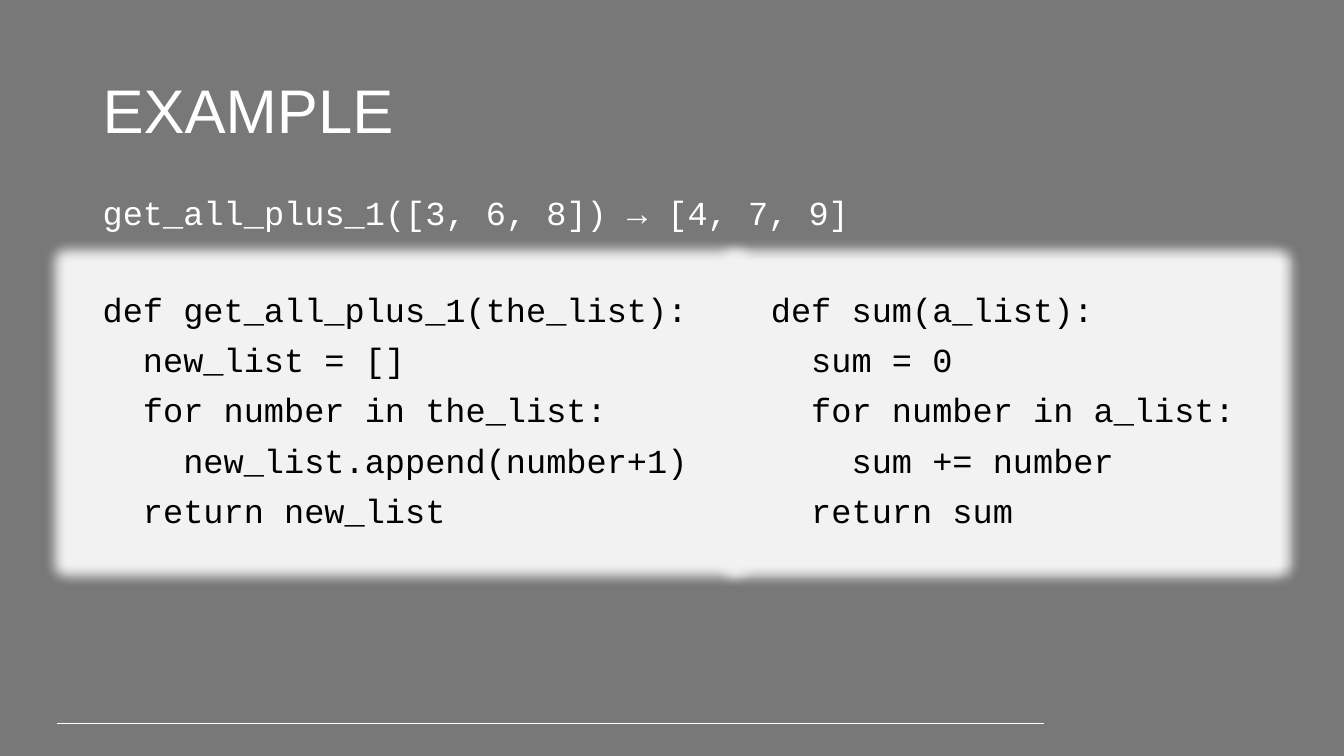
from lxml.etree import SubElement
from pptx import Presentation
from pptx.dml.color import RGBColor
from pptx.enum.shapes import MSO_CONNECTOR
from pptx.enum.text import MSO_ANCHOR, MSO_AUTO_SIZE
from pptx.oxml.ns import qn
from pptx.util import Pt

HUES = {"back": "787878", "white": "FFFFFF", "panel": "F2F2F2", "code": "000000"}
LEFT = 66.24
GLOW = 18


def add_text(text, box, font, size, hue):
    shape = slide.shapes.add_textbox(*[Pt(n) for n in box])
    frame = shape.text_frame
    frame.word_wrap = True
    frame.text = text
    for para in frame.paragraphs:
        for run in para.runs:
            run.font.name = font
            run.font.size = Pt(size)
            run.font.color.rgb = RGBColor.from_string(HUES[hue])
    return shape


deck = Presentation()
deck.slide_width, deck.slide_height = Pt(960), Pt(540)
slide = deck.slides.add_slide(deck.slide_layouts[6])
slide.background.fill.solid()
slide.background.fill.fore_color.rgb = RGBColor.from_string(HUES["back"])

rule = slide.shapes.add_connector(
    MSO_CONNECTOR.STRAIGHT, Pt(41), Pt(516.75), Pt(746), Pt(516.75))
rule.line.color.rgb = RGBColor.from_string(HUES["white"])
rule.line.width = Pt(0.75)
SubElement(rule._element.spPr, qn("a:effectLst"))

title = add_text("EXAMPLE", (LEFT, 28.75, 828, 104.4), "Arial", 44, "white")
title.text_frame.vertical_anchor = MSO_ANCHOR.MIDDLE
title.text_frame.paragraphs[0].line_spacing = 0.9

call = add_text("get_all_plus_1([3, 6, 8]) → [4, 7, 9]",
                (LEFT, 133.2, 672, 36), "Courier New", 24, "white")
call.text_frame.auto_size = MSO_AUTO_SIZE.SHAPE_TO_FIT_TEXT

panels = [
    (LEFT, 440, """def get_all_plus_1(the_list):
  new_list = []
  for number in the_list:
    new_list.append(number+1)
  return new_list"""),
    (543.6, 350.64, """def sum(a_list):
  sum = 0
  for number in a_list:
    sum += number
  return sum"""),
]
for left, width, code in panels:
    panel = add_text(code, (left, 205.92, width, 178.56), "Courier New", 24, "code")
    panel.text_frame.auto_size = MSO_AUTO_SIZE.SHAPE_TO_FIT_TEXT
    panel.fill.solid()
    panel.fill.fore_color.rgb = RGBColor.from_string(HUES["panel"])
    for row, para in enumerate(panel.text_frame.paragraphs):
        para.line_spacing = 0.9
        para.space_before = Pt(10 if row else 0)
    effect = SubElement(panel._element.spPr, qn("a:effectLst"))
    glow = SubElement(effect, qn("a:glow"), rad=str(Pt(GLOW)))
    SubElement(glow, qn("a:srgbClr"), val=HUES["panel"])

deck.save("out.pptx")
